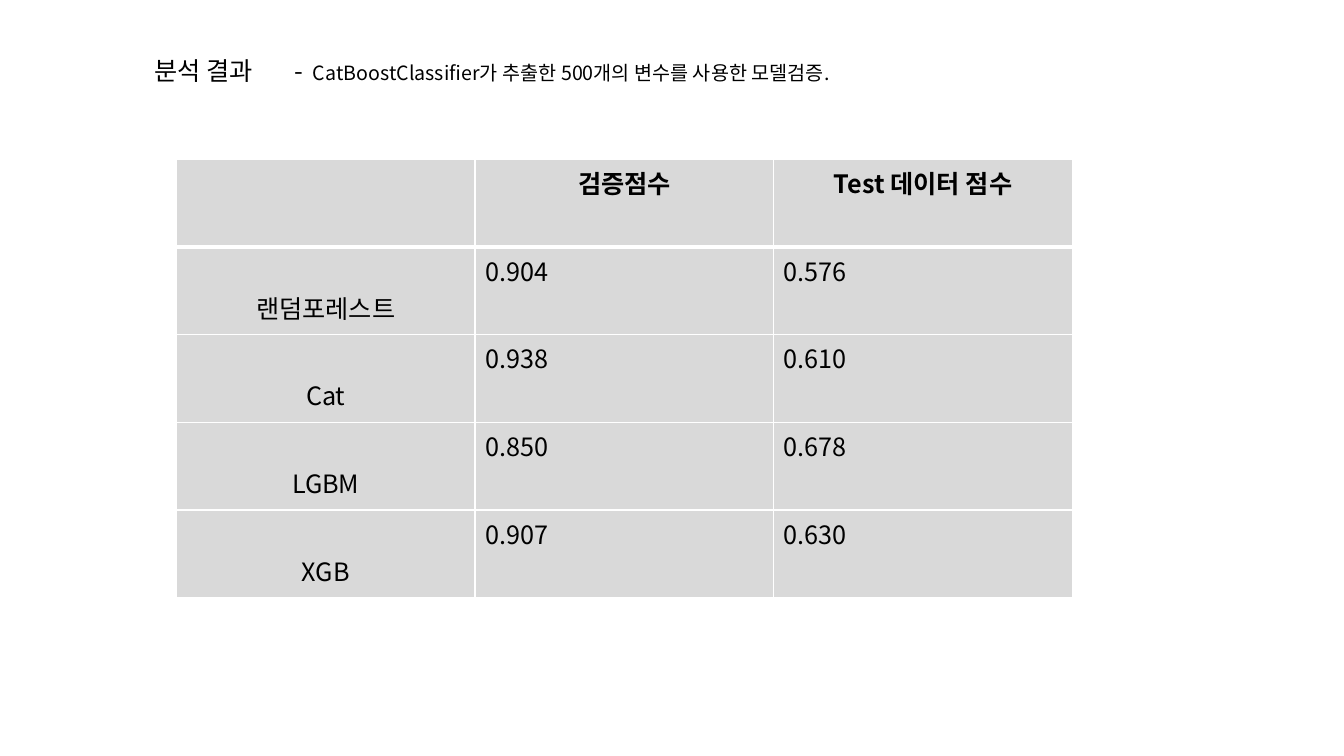
from lxml.etree import SubElement
from pptx import Presentation
from pptx.dml.color import RGBColor
from pptx.enum.text import MSO_ANCHOR as Anchor, PP_ALIGN as Align
from pptx.oxml.ns import qn
from pptx.util import Inches, Pt

BLACK = RGBColor(0x00, 0x00, 0x00)
WHITE = RGBColor(0xFF, 0xFF, 0xFF)
GREY = RGBColor(0xD9, 0xD9, 0xD9)

HEADER = ["", "검증점수", "Test 데이터 점수"]
SCORES = [
    ["랜덤포레스트", "0.904", "0.576"],
    ["Cat", "0.938", "0.610"],
    ["LGBM", "0.850", "0.678"],
    ["XGB", "0.907", "0.630"],
]


class Deck:
    """Slide style on a grid of 40 columns by 30 rows."""
    FONT = "Noto Sans CJK KR"
    SIZE = 18
    COLS, ROWS = 40, 30

    def __init__(self):
        self.prs = Presentation()
        self.prs.slide_width = Inches(13.33)
        self.prs.slide_height = Inches(7.5)
        self.s = self.prs.slides.add_slide(self.prs.slide_layouts[6])

    def box(self, col, row, cols, rows):
        dx = self.prs.slide_width / self.COLS
        dy = self.prs.slide_height / self.ROWS
        return [round(v) for v in (col * dx, row * dy, cols * dx, rows * dy)]

    def style(self, p, bold=False, align=Align.LEFT):
        p.alignment = align
        f = p.font
        f.name, f.size, f.bold = self.FONT, Pt(self.SIZE), bold
        f.color.rgb = BLACK
        # East Asian typeface
        SubElement(f._element, qn("a:ea"), typeface=self.FONT)

    def text(self, place, *runs):
        sp = self.s.shapes.add_textbox(*self.box(*place))
        tf = sp.text_frame
        tf.word_wrap = True
        p = tf.paragraphs[0]
        self.style(p)
        for words, size in runs:
            r = p.add_run()
            r.text = words
            r.font.size = Pt(size)

    def border(self, cell, **widths):
        tcPr = cell._tc.get_or_add_tcPr()
        for side in "LRTB":
            ln = SubElement(tcPr, qn(f"a:ln{side}"), w=str(Pt(widths.get(side, 1))))
            fill = SubElement(ln, qn("a:solidFill"))
            SubElement(fill, qn("a:srgbClr"), val=str(WHITE))

    def table(self, place, rows):
        left, top, width, height = self.box(*place)
        tbl = self.s.shapes.add_table(
            len(rows), len(rows[0]), left, top, width, height).table
        tbl.first_row = tbl.horz_banding = False
        for i, row in enumerate(rows):
            for j, words in enumerate(row):
                cell = tbl.cell(i, j)
                # Thick rule under the header
                self.border(cell, **{0: {"B": 3}, 1: {"T": 3}}.get(i, {}))
                cell.fill.solid()
                cell.fill.fore_color.rgb = GREY
                cell.text = words
                label = i == 0 or j == 0
                self.style(cell.text_frame.paragraphs[0], i == 0,
                           Align.CENTER if label else Align.LEFT)
                # Model names sit low in their rows
                if i and j == 0:
                    cell.vertical_anchor = Anchor.BOTTOM
                    cell.margin_bottom = Inches(0.09)


def main():
    deck = Deck()

    # Title and subtitle
    deck.text((4.29, 2, 15.7, 1.6), ("분석 결과", 18))
    deck.text((8.46, 2, 18, 1.6), ("- ", 18),
              (" CatBoostClassifier가 추출한 500개의 변수를 사용한 모델검증.", 14))

    # Score table
    deck.table((5.25, 6.32, 26.67, 17.4), [HEADER] + SCORES)

    deck.prs.save("out.pptx")


if __name__ == "__main__":
    main()
